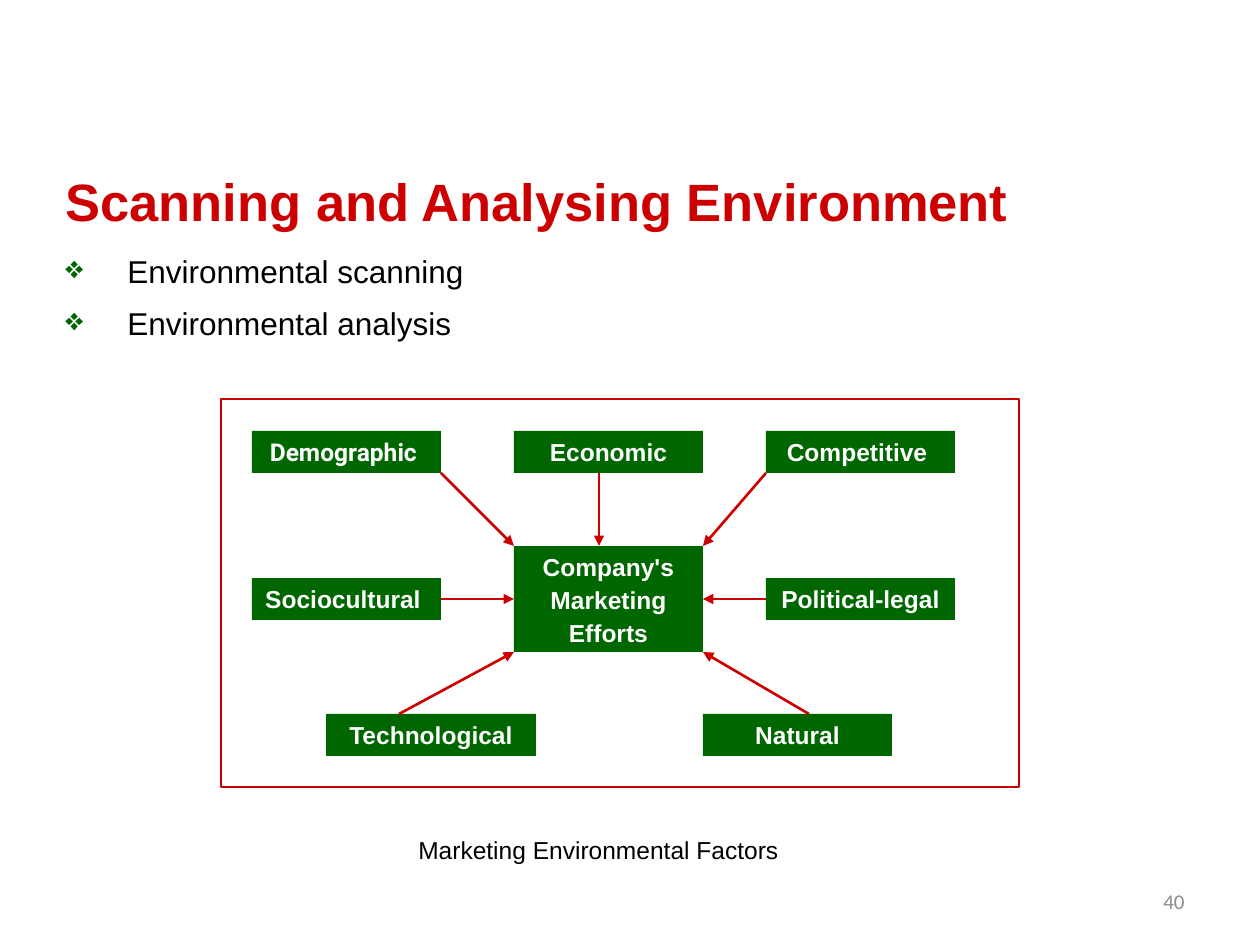
"""Build a slide on scanning and analysing the marketing environment."""
from lxml import etree
from pptx import Presentation
from pptx.dml.color import RGBColor
from pptx.enum.shapes import MSO_CONNECTOR, MSO_SHAPE
from pptx.enum.text import MSO_ANCHOR, MSO_AUTO_SIZE, PP_ALIGN
from pptx.oxml.ns import qn
from pptx.util import Pt

LEFT, CENTER, RIGHT, JUSTIFY = PP_ALIGN.LEFT, PP_ALIGN.CENTER, PP_ALIGN.RIGHT, PP_ALIGN.JUSTIFY
TOP, MIDDLE = MSO_ANCHOR.TOP, MSO_ANCHOR.MIDDLE
NO_AUTOFIT = MSO_AUTO_SIZE.NONE
RECTANGLE, STRAIGHT = MSO_SHAPE.RECTANGLE, MSO_CONNECTOR.STRAIGHT
PX = 914400 / 126
GREEN, RED, WHITE, BLACK, GRAY = "006600", "CC0000", "FFFFFF", "000000", "8C8C8C"
SIDE_LEFT, SIDE_RIGHT = 1, 3

TITLE = "Scanning and Analysing Environment"
BULLETS = ["Environmental scanning", "Environmental analysis"]
CAPTION = "Marketing Environmental Factors"
PAGE_NUMBER = "40"
FRAME = (221, 399, 798, 388)
HUB = "Company's\nMarketing\nEfforts"
HUB_BOX = (514, 546, 189, 106)
BOX_WIDTH, BOX_HEIGHT = 189, 42
COLUMNS = (252, 514, 766)
TOP_ROW, MIDDLE_ROW, BOTTOM_ROW = 431, 578, 714
FACTORS = [
    ("Demographic ", COLUMNS[0], TOP_ROW, BOX_WIDTH, "Roboto"),
    ("Economic", COLUMNS[1], TOP_ROW, BOX_WIDTH, "Arial"),
    ("Competitive ", COLUMNS[2], TOP_ROW, BOX_WIDTH, "Arial"),
    ("Sociocultural ", COLUMNS[0], MIDDLE_ROW, BOX_WIDTH, "Arial"),
    ("Political-legal ", COLUMNS[2], MIDDLE_ROW, BOX_WIDTH, "Arial"),
    ("Technological", 326, BOTTOM_ROW, 210, "Arial"),
    ("Natural", 703, BOTTOM_ROW, BOX_WIDTH, "Arial"),
]
FREE_ARROWS = [
    ((441, 473), (514, 546)),
    ((599, 473), (599, 546)),
    ((766, 473), (703, 546)),
    ((399, 714), (514, 652)),
    ((809, 714), (703, 652)),
]
JOINED_ARROWS = [
    ("Sociocultural ", SIDE_RIGHT, SIDE_LEFT),
    ("Political-legal ", SIDE_LEFT, SIDE_RIGHT),
]


def emu(*lengths):
    return [round(length * PX) for length in lengths]


def color(value):
    return RGBColor.from_string(value)


def write(shape, text, size=14, font="Arial", fill=BLACK, bold=False, align=CENTER,
          anchor=TOP, before=0, spacing=1.0):
    frame = shape.text_frame
    frame.word_wrap = True
    frame.auto_size = NO_AUTOFIT
    frame.vertical_anchor = anchor
    frame.text = text
    for paragraph in frame.paragraphs:
        paragraph.alignment = align
        paragraph.space_before = Pt(before)
        paragraph.line_spacing = spacing
        for run in paragraph.runs:
            run.font.name = font
            run.font.size = Pt(size)
            run.font.bold = bold
            run.font.color.rgb = color(fill)


def add_text(slide, box, text, **text_format):
    shape = slide.shapes.add_textbox(*emu(*box))
    write(shape, text, **text_format)
    return shape


def add_bullet(paragraph, indent):
    properties = paragraph._p.get_or_add_pPr()
    properties.set("marL", str(indent))
    properties.set("indent", str(-indent))
    bullet_color = etree.SubElement(properties, qn("a:buClr"))
    etree.SubElement(bullet_color, qn("a:srgbClr"), val=GREEN)
    etree.SubElement(properties, qn("a:buChar"), char="❖")


def add_rectangle(slide, box):
    shape = slide.shapes.add_shape(RECTANGLE, *emu(*box))
    shape.shadow.inherit = False
    return shape


def add_factor(slide, box, text, font="Arial"):
    shape = add_rectangle(slide, box)
    shape.fill.solid()
    shape.fill.fore_color.rgb = color(GREEN)
    shape.line.fill.background()
    write(shape, text, font=font, fill=WHITE, bold=True, before=2)
    return shape


def add_arrow(slide, start=(0, 0), end=(0, 0)):
    arrow = slide.shapes.add_connector(STRAIGHT, *emu(*start, *end))
    arrow.line.color.rgb = color(RED)
    arrow.line.width = Pt(1.5)
    etree.SubElement(arrow.line._get_or_add_ln(), qn("a:tailEnd"), type="triangle")
    etree.SubElement(arrow._element.spPr, qn("a:effectLst"))
    return arrow


def main():
    presentation = Presentation()
    presentation.slide_width, presentation.slide_height = emu(1260, 945)
    slide = presentation.slides.add_slide(presentation.slide_layouts[5])

    title = slide.shapes.title
    title.left, title.top, title.width, title.height = emu(53, 147, 1103, 92)
    write(title, TITLE, size=30, fill=RED, bold=True, align=LEFT, before=6, spacing=1.25)

    bullets = add_text(slide, (53, 242, 1155, 106), "\n".join(BULLETS),
                       size=18, align=JUSTIFY, before=6, spacing=1.1)
    for paragraph in bullets.text_frame.paragraphs:
        add_bullet(paragraph, emu(62)[0])

    frame = add_rectangle(slide, FRAME)
    frame.fill.background()
    frame.line.color.rgb = color(RED)
    frame.line.width = Pt(0.75)

    hub = add_factor(slide, HUB_BOX, HUB)
    factors = {
        text: add_factor(slide, (left, top, width, BOX_HEIGHT), text, font)
        for text, left, top, width, font in FACTORS
    }
    for start, end in FREE_ARROWS:
        add_arrow(slide, start, end)
    for text, factor_side, hub_side in JOINED_ARROWS:
        arrow = add_arrow(slide)
        arrow.begin_connect(factors[text], factor_side)
        arrow.end_connect(hub, hub_side)

    add_text(slide, (231, 829, 735, 42), CAPTION, before=2)
    add_text(slide, (903, 876, 294, 50), PAGE_NUMBER, size=12, font="Calibri",
             fill=GRAY, align=RIGHT, anchor=MIDDLE)
    presentation.save("out.pptx")


if __name__ == "__main__":
    main()
